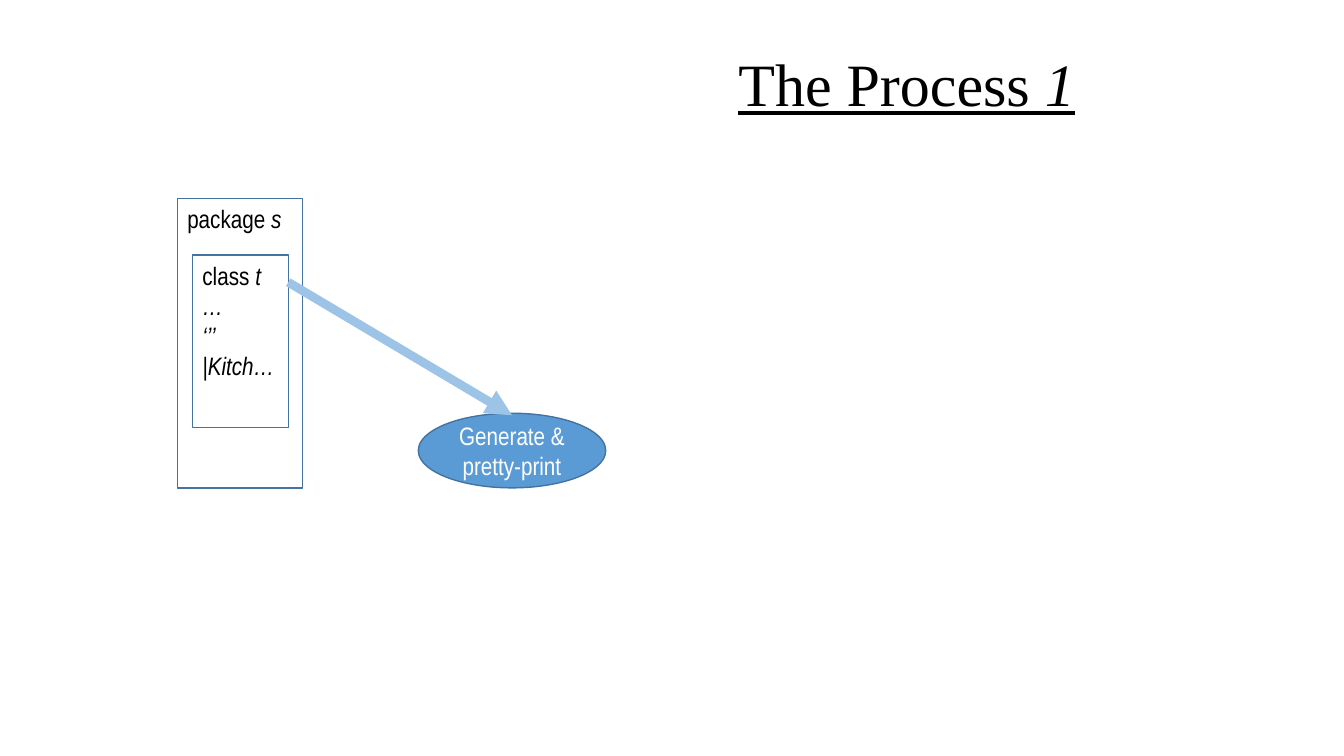
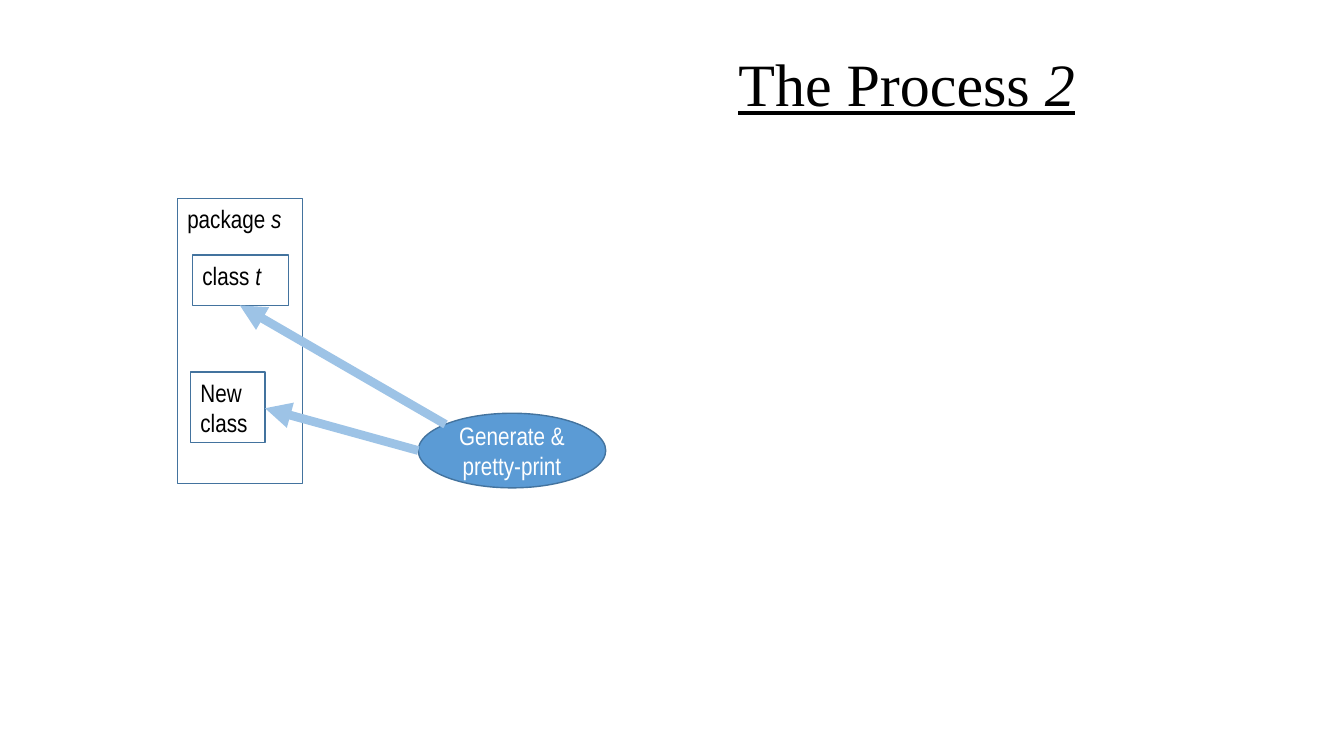
from pptx import Presentation, util as u
from pptx.dml.color import RGBColor
from pptx.enum import shapes, text
from pptx.oxml.ns import qn
from lxml import etree

COLS, ROWS = 80, 45
CELL = u.Inches(1 / 6)
INK, EDGE, FILL, ARROW, WHITE = "000000", "43739E", "5B9BD5", "9DC3E6", "FFFFFF"
BODY, HEAD = "Arial Narrow", "Times New Roman"


def color(code):
    """Turn a hex string into a colour."""
    return RGBColor.from_string(code)


def grid(*cells):
    """Turn grid cells into slide lengths."""
    return [round(n * CELL) for n in cells]


class Deck:
    """Holds the shared style and the current slide."""

    def __init__(self):
        """Start an empty wide deck."""
        self.show = Presentation()
        self.show.slide_width, self.show.slide_height = grid(COLS, ROWS)

    def label(self, frame, lines, size, font, ink, align, anchor):
        """Fill a frame with lines; parts between asterisks are italic."""
        frame.word_wrap = True
        frame.auto_size = text.MSO_AUTO_SIZE.NONE
        frame.vertical_anchor = anchor
        frame.text = "\n".join(lines)
        for para in frame.paragraphs:
            parts = para.text.split("*")
            para.text = ""
            para.alignment = align
            for i, part in enumerate(parts):
                if not part:
                    continue
                run = para.add_run()
                run.text = part
                run.font.size, run.font.name = u.Pt(size), font
                run.font.italic = i % 2 == 1
                run.font.color.rgb = color(ink)

    def page(self, title):
        """Add a slide with an underlined title."""
        self.slide = self.show.slides.add_slide(self.show.slide_layouts[5])
        head = self.slide.shapes.title
        head.left, head.top, head.width, head.height = grid(36, 3.12, 35.94, 4.38)
        self.label(head.text_frame, [title], 42.9, HEAD, INK,
                   text.PP_ALIGN.CENTER, text.MSO_ANCHOR.MIDDLE)
        para = head.text_frame.paragraphs[0]
        para.line_spacing = 0.8
        for run in para.runs:
            run.font.underline = True

    def shape(self, kind, *cells):
        """Add an outlined preset shape."""
        item = self.slide.shapes.add_shape(kind, *grid(*cells))
        item.shadow.inherit = False
        item.line.color.rgb = color(EDGE)
        item.line.width = u.Pt(1)
        return item

    def box(self, lines, *cells):
        """Add a hollow box with text at its top left."""
        item = self.shape(shapes.MSO_SHAPE.RECTANGLE, *cells)
        item.fill.background()
        self.label(item.text_frame, lines, 18, BODY, INK,
                   text.PP_ALIGN.LEFT, text.MSO_ANCHOR.TOP)

    def oval(self, line, *cells):
        """Add a filled oval with a centred label."""
        item = self.shape(shapes.MSO_SHAPE.OVAL, *cells)
        item.fill.solid()
        item.fill.fore_color.rgb = color(FILL)
        self.label(item.text_frame, [line], 18, BODY, WHITE,
                   text.PP_ALIGN.CENTER, text.MSO_ANCHOR.MIDDLE)

    def arrow(self, *cells):
        """Add a thick arrow from one grid point to another."""
        item = self.slide.shapes.add_connector(
            shapes.MSO_CONNECTOR.STRAIGHT, *grid(*cells))
        item.line.color.rgb = color(ARROW)
        item.line.width = u.Pt(6.25)
        props = item.element.spPr
        etree.SubElement(props.find(qn("a:ln")), qn("a:tailEnd"), type="triangle")
        etree.SubElement(props, qn("a:effectLst"))

    def stage(self, num, tall, lines, deep):
        """Add the slide parts that every step of the process has."""
        self.page(f"The Process *{num}*")
        self.box(["package *s*"], 10.56, 11.82, 7.44, tall)
        self.box(["class *t*"] + lines, 11.46, 15.18, 5.7, deep)
        self.oval("Generate & pretty-print", 24.9, 24.6, 11.16, 4.44)


deck = Deck()

deck.stage(1, 17.22, ["*…*", "*‘’’*", "*|Kitch…*"], 10.26)
deck.arrow(17.16, 16.8, 30.48, 24.72)

deck.stage(2, 16.98, [], 3)
deck.arrow(26.52, 25.26, 14.28, 18.18)
deck.box(["New class"], 11.34, 22.14, 4.44, 4.2)
deck.arrow(24.9, 26.82, 15.78, 24.3)

deck.show.save("out.pptx")
